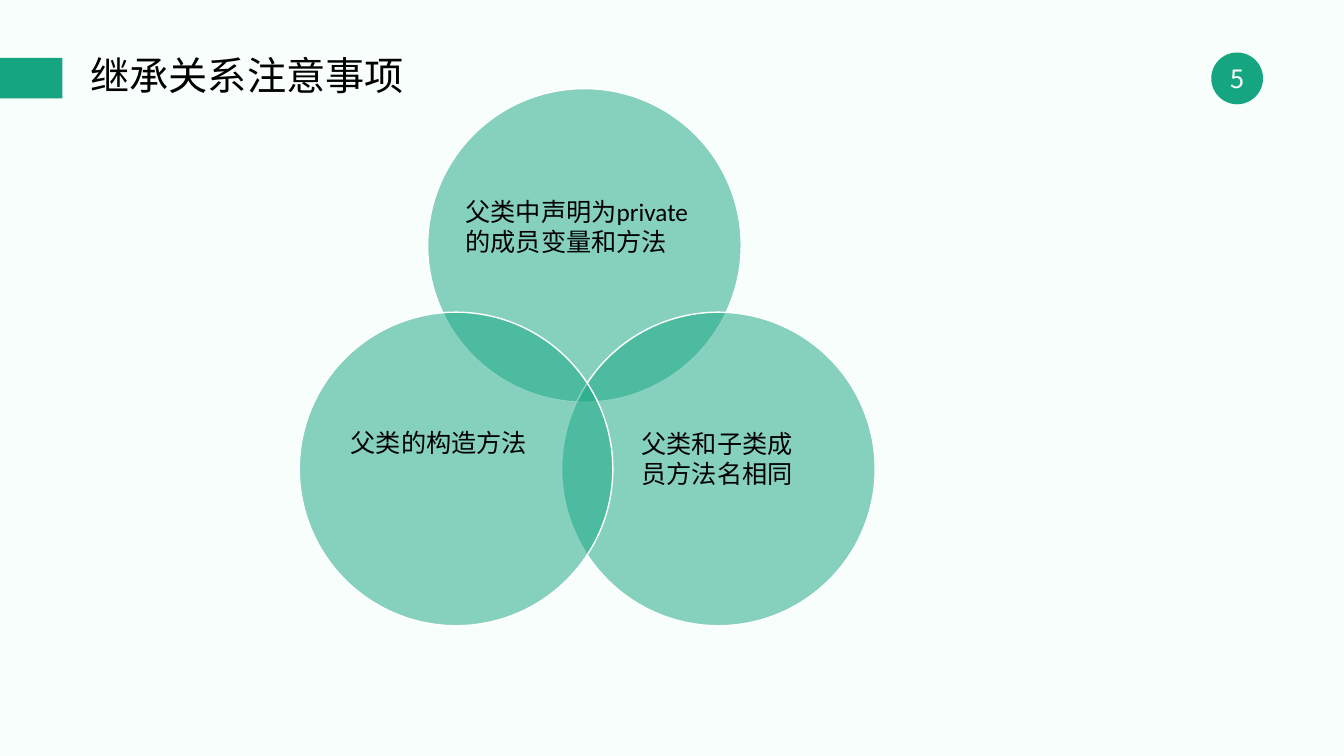
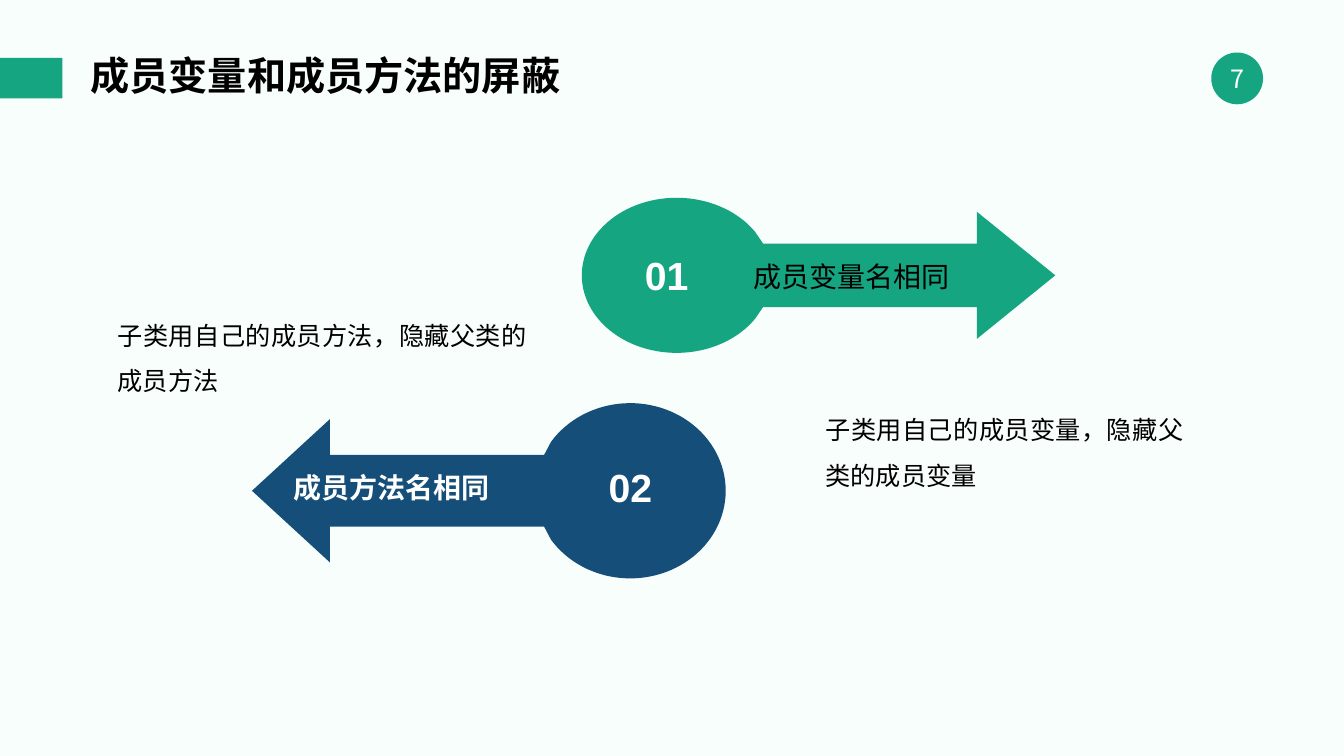
from dataclasses import dataclass
from math import asin, cos, pi, sin
from typing import Optional

from lxml.etree import SubElement
from pptx import Presentation
from pptx.dml.color import RGBColor
from pptx.enum.shapes import MSO_SHAPE
from pptx.enum.text import MSO_ANCHOR, PP_ALIGN
from pptx.oxml.ns import qn
from pptx.shapes.autoshape import Shape
from pptx.slide import Slide
from pptx.text.text import TextFrame
from pptx.util import Pt

MINT = RGBColor(0xF8, 0xFE, 0xFC)
GREEN = RGBColor(0x15, 0xA6, 0x81)
NAVY = RGBColor(0x15, 0x4E, 0x79)
WHITE = RGBColor(0xFF, 0xFF, 0xFF)
BLACK = RGBColor(0, 0, 0)
CJK_FONT = "Noto Sans CJK SC"
ARC_STEPS = 90
SHOULDER = 0.56


@dataclass(frozen=True)
class Style:
    font: str
    size: float
    color: RGBColor = BLACK
    bold: bool = False
    align: PP_ALIGN = PP_ALIGN.LEFT
    spacing: float = 1.0


@dataclass(frozen=True)
class Label:
    text: str
    left: float
    top: float
    width: float
    height: float
    style: Style
    anchor: MSO_ANCHOR = MSO_ANCHOR.TOP
    fill: Optional[RGBColor] = None


@dataclass(frozen=True)
class RoundArrow:
    center_x: float
    center_y: float
    radius_x: float
    radius_y: float
    neck: float
    neck_x: float
    head: float
    head_x: float
    tip_x: float
    color: RGBColor


PAGE_NUMBER = Style(CJK_FONT, 18, WHITE, align=PP_ALIGN.CENTER)
CIRCLE_TEXT = Style("Calibri", 18)
EXPLANATION = Style("Times New Roman", 18, align=PP_ALIGN.JUSTIFY, spacing=1.5)
ORDINAL = Style("Arial", 28, WHITE, bold=True)
GREEN_NAME = Style("Times New Roman", 20)
NAVY_NAME = Style("Arial", 20, WHITE, bold=True)

CIRCLE_SIZE = 224
CIRCLE_CORNERS = [(305.5, 63.3), (401.2, 223), (213.8, 223)]
CIRCLE_LABELS = [
    Label("父类中声明为private的成员变量和方法", 325.4, 136.8, 184.5, 51, CIRCLE_TEXT),
    Label("父类的构造方法", 243.4, 301.7, 150, 29, CIRCLE_TEXT),
    Label("父类和子类成员方法名相同", 451.1, 302.4, 138.2, 51, CIRCLE_TEXT),
]

ARROWS = [
    RoundArrow(483.3, 196.7, 67.7, 55.4, 22.7, 545.1, 45.4, 697.8, 753.8, GREEN),
    RoundArrow(450.2, 350.6, 68.2, 62.6, 25.6, 388.7, 51.1, 235.6, 180, NAVY),
]
ARROW_LABELS = [
    Label("子类用自己的成员变量，隐藏父类的成员变量", 582.5, 281.8, 270, 68.4, EXPLANATION),
    Label("子类用自己的成员方法，隐藏父类的成员方法", 77, 214.2, 306.4, 68.4, EXPLANATION),
    Label("成员变量名相同", 531, 181.8, 195.8, 31.7, GREEN_NAME, fill=GREEN),
    Label("01", 453.6, 175.7, 57.6, 41, ORDINAL, fill=GREEN),
    Label("成员方法名相同", 202.3, 332.6, 195.8, 35.3, NAVY_NAME, fill=NAVY),
    Label("02", 427.7, 327.6, 57.6, 46.8, ORDINAL, fill=NAVY),
]


def write(frame: TextFrame, text: str, style: Style) -> None:
    paragraph = frame.paragraphs[0]
    paragraph.text = text
    paragraph.alignment = style.align
    paragraph.line_spacing = style.spacing
    font = paragraph.font
    font.size = Pt(style.size)
    font.bold = style.bold
    font.color.rgb = style.color
    font.name = style.font
    defaults = paragraph._p.pPr.find(qn("a:defRPr"))
    SubElement(defaults, qn("a:ea")).set("typeface", CJK_FONT)


def paint(shape: Shape, color: RGBColor) -> None:
    shape.shadow.inherit = False
    shape.fill.solid()
    shape.fill.fore_color.rgb = color
    shape.line.fill.background()


def add_filled(slide: Slide, kind: MSO_SHAPE, left: float, top: float,
               width: float, height: float, color: RGBColor = GREEN) -> Shape:
    shape = slide.shapes.add_shape(kind, Pt(left), Pt(top), Pt(width), Pt(height))
    paint(shape, color)
    return shape


def add_label(slide: Slide, label: Label) -> None:
    bounds = (label.left, label.top, label.width, label.height)
    if label.fill is None:
        holder = slide.shapes.add_textbox(*(Pt(length) for length in bounds))
    else:
        holder = add_filled(slide, MSO_SHAPE.RECTANGLE, *bounds, label.fill)
    frame = holder.text_frame
    frame.word_wrap = True
    frame.vertical_anchor = label.anchor
    write(frame, label.text, label.style)


def add_page(deck: Presentation, title: str, number: int, bold: bool) -> Slide:
    slide = deck.slides.add_slide(deck.slide_layouts[6])
    slide.background.fill.solid()
    slide.background.fill.fore_color.rgb = MINT
    badge = add_filled(slide, MSO_SHAPE.OVAL, 865.2, 37.5, 37, 37).text_frame
    badge.margin_left = badge.margin_right = badge.margin_top = badge.margin_bottom = 0
    badge.vertical_anchor = MSO_ANCHOR.MIDDLE
    write(badge, str(number), PAGE_NUMBER)
    add_filled(slide, MSO_SHAPE.RECTANGLE, 0, 41.3, 44.6, 29)
    heading = Style(CJK_FONT, 28, bold=bold, spacing=0.9)
    add_label(slide, Label(title, 57.6, 37.5, 536.4, 36.7, heading, MSO_ANCHOR.MIDDLE))
    return slide


def add_venn_circle(slide: Slide, left: float, top: float) -> None:
    circle = add_filled(slide, MSO_SHAPE.OVAL, left, top, CIRCLE_SIZE, CIRCLE_SIZE)
    circle.line.color.rgb = WHITE
    circle.line.width = Pt(1)
    color = circle._element.spPr.find(qn("a:solidFill"))[0]
    SubElement(color, qn("a:alpha")).set("val", "50000")


def add_round_arrow(slide: Slide, arrow: RoundArrow) -> None:
    side = 1 if arrow.tip_x > arrow.center_x else -1
    start = asin(SHOULDER)
    sweep = 2 * (pi - start)
    angles = [start + sweep * step / ARC_STEPS for step in range(ARC_STEPS + 1)]
    outline = [
        (arrow.center_x + side * arrow.radius_x * cos(angle),
         arrow.center_y + arrow.radius_y * sin(angle))
        for angle in angles
    ]
    outline += [
        (arrow.neck_x, arrow.center_y - arrow.neck),
        (arrow.head_x, arrow.center_y - arrow.neck),
        (arrow.head_x, arrow.center_y - arrow.head),
        (arrow.tip_x, arrow.center_y),
        (arrow.head_x, arrow.center_y + arrow.head),
        (arrow.head_x, arrow.center_y + arrow.neck),
        (arrow.neck_x, arrow.center_y + arrow.neck),
    ]
    points = [(Pt(x), Pt(y)) for x, y in outline]
    builder = slide.shapes.build_freeform(*points[0])
    builder.add_line_segments(points[1:], close=True)
    paint(builder.convert_to_shape(), arrow.color)


def main() -> None:
    deck = Presentation()
    deck.slide_width = Pt(960)
    deck.slide_height = Pt(540)

    cautions = add_page(deck, "继承关系注意事项", 5, bold=False)
    for left, top in CIRCLE_CORNERS:
        add_venn_circle(cautions, left, top)
    for label in CIRCLE_LABELS:
        add_label(cautions, label)

    hiding = add_page(deck, "成员变量和成员方法的屏蔽", 7, bold=True)
    for arrow in ARROWS:
        add_round_arrow(hiding, arrow)
    for label in ARROW_LABELS:
        add_label(hiding, label)

    deck.save("out.pptx")


if __name__ == "__main__":
    main()
